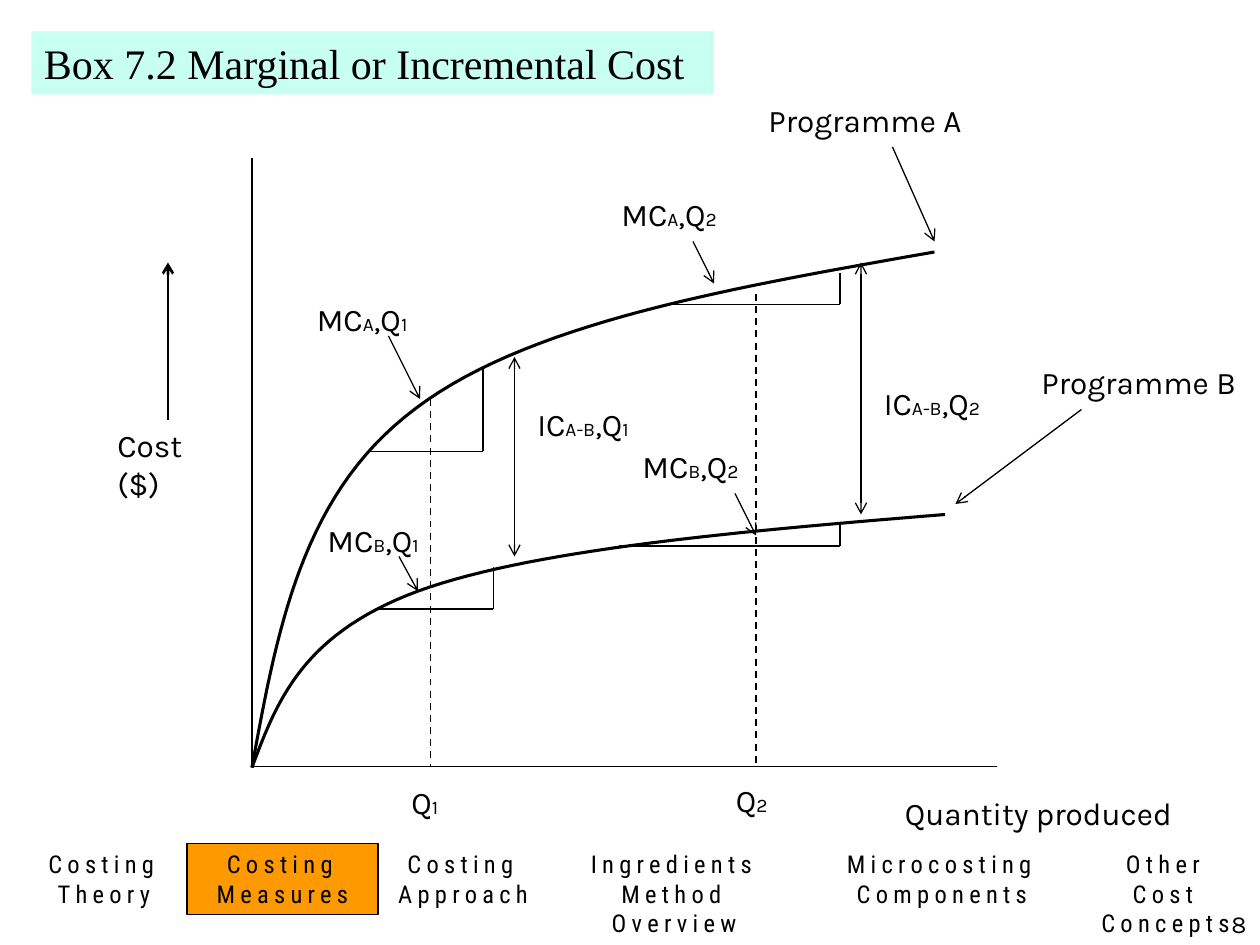
import pptx
import pptx.util
import pptx.dml.color
import pptx.enum.dml
import pptx.enum.shapes
import pptx.enum.text
import pptx.oxml.ns
import lxml.etree

COLORS = {"ink": "000000", "title": "C7FFF0", "current": "FF9900"}
INK = pptx.dml.color.RGBColor.from_string(COLORS["ink"])

deck = pptx.Presentation()
deck.slide_width = pptx.util.Inches(10)
deck.slide_height = pptx.util.Inches(7.5)
page = deck.slides.add_slide(deck.slide_layouts[6])

# Grid of 120 columns by 90 rows, square cells
CELL = deck.slide_width // 120
LABEL_HEIGHT = 4.8


def add_line(start, end, width=0.75, dashed=False, arrows=()):
    ends = [round(value * CELL) for value in (*start, *end)]
    line = page.shapes.add_connector(pptx.enum.shapes.MSO_CONNECTOR.STRAIGHT, *ends)
    line.line.color.rgb = INK
    line.line.width = pptx.util.Pt(width)
    if dashed:
        line.line.dash_style = pptx.enum.dml.MSO_LINE.DASH
    for arrow in arrows:
        lxml.etree.SubElement(line.line._get_or_add_ln(), pptx.oxml.ns.qn("a:" + arrow), type="arrow")
    lxml.etree.SubElement(line._element.spPr, pptx.oxml.ns.qn("a:effectLst"))


def add_text(text, left, top, width, height=LABEL_HEIGHT, size=18, font="Karla", align="LEFT",
             anchor="TOP", spacing=0, fill=None, outlined=False, grow=True):
    """Write text in a box; parts between underscores are set small."""
    frame = [round(value * CELL) for value in (left, top, width, height)]
    if fill:
        box = page.shapes.add_shape(pptx.enum.shapes.MSO_SHAPE.RECTANGLE, *frame)
        box.shadow.inherit = False
        box.fill.solid()
        box.fill.fore_color.rgb = pptx.dml.color.RGBColor.from_string(fill)
        if outlined:
            box.line.color.rgb = INK
            box.line.width = pptx.util.Pt(0.75)
        else:
            box.line.fill.background()
    else:
        box = page.shapes.add_textbox(*frame)
    box.text_frame.word_wrap = True
    if grow:
        box.text_frame.auto_size = pptx.enum.text.MSO_AUTO_SIZE.SHAPE_TO_FIT_TEXT
    box.text_frame.vertical_anchor = pptx.enum.text.MSO_ANCHOR[anchor]
    para = box.text_frame.paragraphs[0]
    para.alignment = pptx.enum.text.PP_ALIGN[align]
    for index, part in enumerate(text.split("_")):
        if not part:
            continue
        span = para.add_run()
        span.text = part
        span.font.name = font
        span.font.size = pptx.util.Pt(11 if index % 2 else size)
        span.font.color.rgb = INK
        if spacing:
            span.font._element.set("spc", str(spacing * 100))


# Axes
origin = (24, 73)
add_line((24, 15), origin)
add_line((95, 73), origin)

# Cost curves, programme B then A: two cubic pieces each
curves = [
    [(24, 73.1), (26.4, 66.7), (28.8, 60.4), (39.8, 56.3), (50.8, 52.3), (70.4, 50.6), (90, 49)],
    [(24, 73.1), (26.4, 60), (28.7, 47), (39.6, 38.9), (50.4, 30.7), (69.7, 27.4), (89, 24)],
]
STEPS = 30
for knots in curves:
    points = []
    for first in (0, 3):
        piece = knots[first:first + 4]
        for step in range(STEPS + 1):
            t = step / STEPS
            weights = ((1 - t) ** 3, 3 * t * (1 - t) ** 2, 3 * t * t * (1 - t), t ** 3)
            points.append([CELL * sum(w * knot[axis] for w, knot in zip(weights, piece))
                           for axis in (0, 1)])
    builder = page.shapes.build_freeform(*points[0])
    builder.add_line_segments(points[1:], close=False)
    curve = builder.convert_to_shape()
    curve.shadow.inherit = False
    curve.fill.background()
    curve.line.color.rgb = INK
    curve.line.width = pptx.util.Pt(1.75)

# Quantity markers
for column, top in [(41, 38), (72, 28)]:
    add_line((column, top), (column, 73), width=1, dashed=True)

# Slope steps: left, right, top, bottom
for left, right, top, bottom in [(36, 47, 54, 58), (59, 80, 50, 52), (35, 46, 35, 43), (64, 80, 26, 29)]:
    add_line((left, bottom), (right, bottom))
    add_line((right, top), (right, bottom))

# Incremental cost spans
for column, top, bottom in [(49, 34, 53), (82, 25, 49)]:
    add_line((column, top), (column, bottom), arrows=("headEnd", "tailEnd"))

# Labels
for text, left, top, width in [
    ("Cost ($)", 10, 40, 12),
    ("Programme B", 98, 34, 22),
    ("Quantity produced", 85, 75, 32),
    ("Programme A", 72, 9, 22),
    ("MC_A_,Q_1_", 29, 28, 18),
    ("MC_A_,Q_2_", 58, 18, 18),
    ("MC_B_,Q_1_", 30, 49, 18),
    ("MC_B_,Q_2_", 60, 42, 18),
    ("IC_A-B_,Q_1_", 50, 38, 18),
    ("IC_A-B_,Q_2_", 83, 36, 18),
    ("Q_1_", 38, 74, 6),
    ("Q_2_", 68.9, 73.8, 6),
]:
    add_text(text, left, top, width)

# Arrows from labels to curves
add_line((16, 40), (16, 25), width=1.5, arrows=("tailEnd",))
for start, end in [
    ((37, 32), (40, 38)),
    ((66, 23), (68, 27)),
    ((85, 14), (89, 23)),
    ((38, 53), (39.8, 56.3)),
    ((70, 47), (72, 51)),
    ((103, 39), (91, 48)),
]:
    add_line(start, end, arrows=("tailEnd",))

# Title and page number
add_text("Box 7.2 Marginal or Incremental Cost", 3, 3, 65, 6, size=24,
         font="Times New Roman", fill=COLORS["title"])
add_text("8", 94.9, 84, 25, 6, size=14, align="RIGHT", anchor="BOTTOM", grow=False)

# Section bar, current section filled
for text, left, width in [
    ("Costing Theory", 0.2, 19.4),
    ("Costing Measures", 17.8, 18.2),
    ("Costing Approach", 35.5, 17.2),
    ("Ingredients Method Overview", 51.7, 25),
    ("Microcosting Components", 76.7, 26),
    ("Other Cost Concepts", 102.4, 17.2),
]:
    current = text == "Costing Measures"
    add_text(text, left, 80.3, width, 6.8, size=14, font="Roboto Condensed", align="CENTER",
             spacing=3, fill=COLORS["current"] if current else None, outlined=current)

deck.save("out.pptx")
